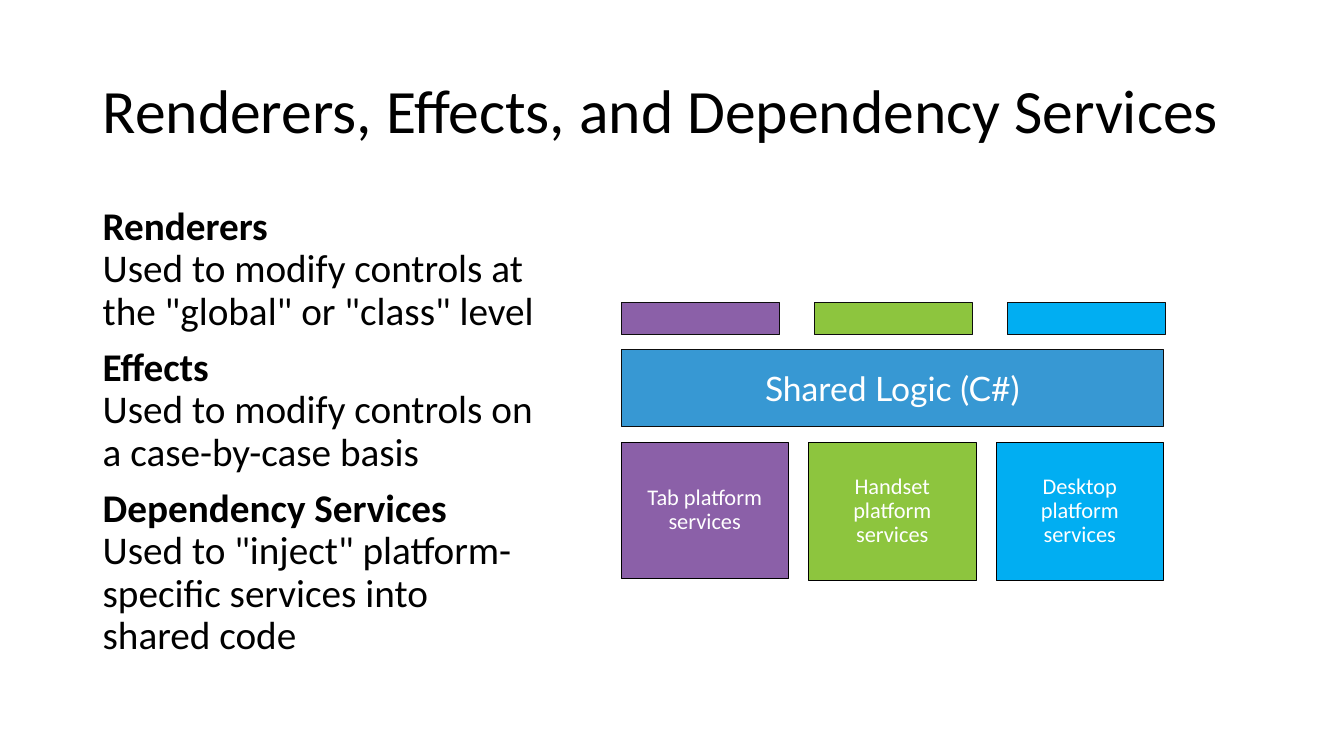
from pptx import Presentation
from pptx.dml.color import RGBColor as Rgb
from pptx.enum.shapes import MSO_SHAPE as Shape
from pptx.enum.text import MSO_ANCHOR as Anchor, PP_ALIGN as Align
from pptx.util import Inches, Pt

COLORS = {
    "purple": "8B60A8", "green": "8DC53E", "sky": "01AEF2", "blue": "3798D3",
    "edge": "0D0D0D", "black": "000000", "white": "FFFFFF",
}
TITLE = "Renderers, Effects, and Dependency Services"
TOPICS = [
    ("Renderers", 'Used to modify controls at the "global" or "class" level'),
    ("Effects", "Used to modify controls on a case-by-case basis"),
    ("Dependency Services",
     'Used to "inject" platform-specific services into shared code'),
]
SHARED = "Shared Logic (C#)"
# label, colour, height of the service box
PLATFORMS = [
    ("Tab platform services", "purple", 1.35),
    ("Handset platform services", "green", 1.37),
    ("Desktop platform services", "sky", 1.37),
]
LEFT = 6.16
CAP_STEP, BOX_STEP = 1.915, 1.86


def color(name):
    return Rgb.from_string(COLORS[name])


def style(frame, size, ink, font="Calibri", spacing=0.9, align=None):
    for para in frame.paragraphs:
        para.line_spacing = spacing
        para.alignment = align
        for run in para.runs:
            run.font.size = Pt(size)
            run.font.name = font
            run.font.color.rgb = color(ink)


def add_text(slide, box, text, size, anchor):
    frame = slide.shapes.add_textbox(*map(Inches, box)).text_frame
    frame.word_wrap = True
    frame.vertical_anchor = anchor
    frame.text = text
    style(frame, size, "black")
    return frame


def add_block(slide, box, fill, edge="edge"):
    block = slide.shapes.add_shape(Shape.RECTANGLE, *map(Inches, box))
    block.shadow.inherit = False
    block.fill.solid()
    block.fill.fore_color.rgb = color(fill)
    block.line.color.rgb = color(edge)
    block.line.width = Pt(0.5)
    frame = block.text_frame
    frame.word_wrap = True
    frame.vertical_anchor = Anchor.MIDDLE
    return frame


def main():
    deck = Presentation()
    deck.slide_width, deck.slide_height = Inches(13.33), Inches(7.5)
    slide = deck.slides.add_slide(deck.slide_layouts[6])

    add_text(slide, (0.92, 0.4, 11.5, 1.45), TITLE, 44, Anchor.MIDDLE)

    for col, (label, fill, height) in enumerate(PLATFORMS):
        add_block(slide, (LEFT + col * CAP_STEP, 3, 1.57, 0.32), fill)
        frame = add_block(
            slide, (LEFT + col * BOX_STEP, 4.39, 1.66, height), fill, "black")
        frame.margin_left = frame.margin_right = Inches(0.2)
        frame.margin_top = frame.margin_bottom = Inches(0.16)
        frame.text = label
        style(frame, 16, "white", align=Align.CENTER)

    frame = add_block(slide, (LEFT, 3.47, 5.38, 0.76), "blue")
    frame.text = SHARED
    style(frame, 24, "white", "Lato", 1.0, Align.CENTER)

    # \v is a line break inside a paragraph
    body = "\n".join(f"{head}\v{text}" for head, text in TOPICS)
    frame = add_text(slide, (0.92, 2, 4.51, 4.76), body, 28, Anchor.TOP)
    for row, para in enumerate(frame.paragraphs):
        para.space_before = Pt(10 if row else 0)
        para.runs[0].font.bold = True

    deck.save("out.pptx")


if __name__ == "__main__":
    main()
